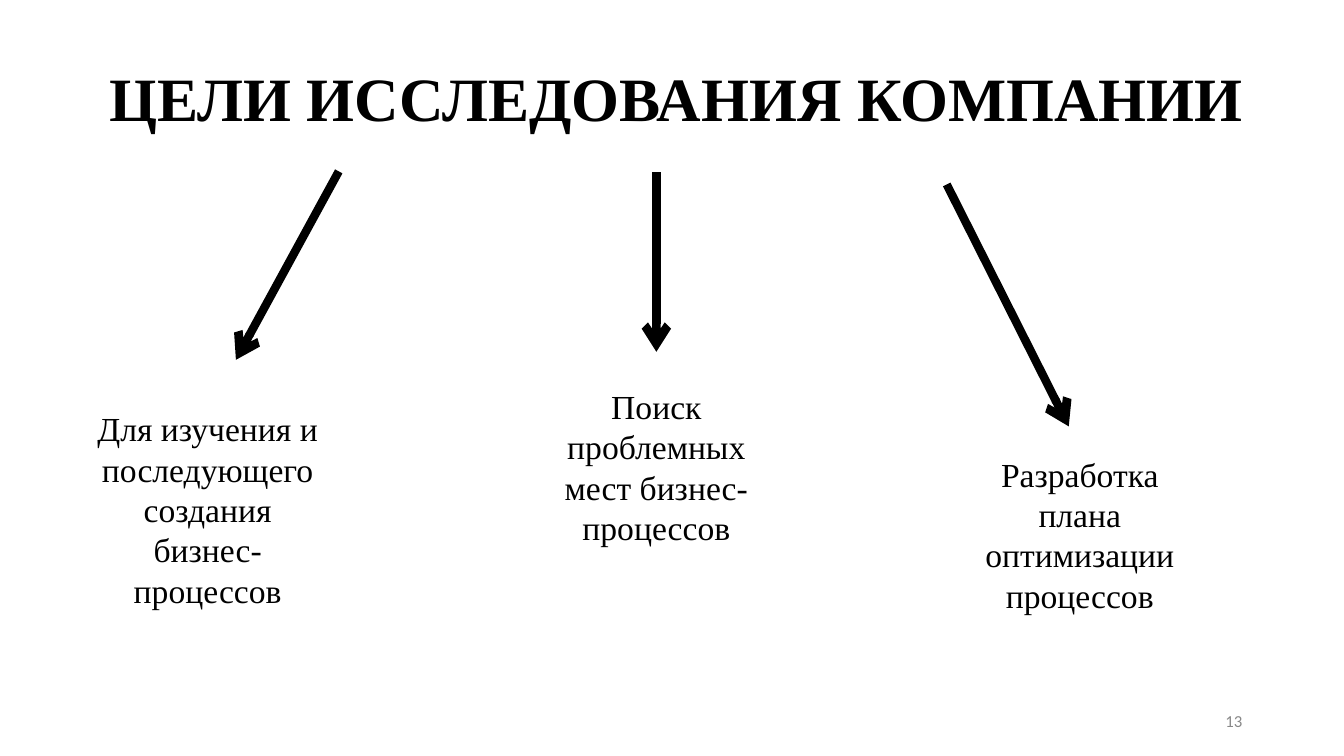
from dataclasses import dataclass

from lxml import etree
from pptx import Presentation
from pptx import util as u
from pptx.dml.color import RGBColor
from pptx.enum import shapes, text
from pptx.oxml.ns import qn


@dataclass(frozen=True)
class Theme:
    ink: RGBColor = RGBColor(0, 0, 0)
    muted: RGBColor = RGBColor(0x88, 0x88, 0x88)
    serif: str = "Times New Roman"
    sans: str = "Calibri"
    title: int = 44
    body: int = 24
    small: int = 12
    arrow: int = 6


THEME = Theme()
GOAL_WIDTH = 2.6
GOALS = [
    ("Для изучения и последующего создания бизнес-процессов",
     (0.76, 4, GOAL_WIDTH, 2.12), (3.36, 1.7), (2.34, 3.57)),
    ("Поиск проблемных мест бизнес-процессов",
     (5.21, 3.78, GOAL_WIDTH, 1.72), (6.51, 1.71), (6.51, 3.49)),
    ("Разработка плана оптимизации процессов",
     (9.41, 4.45, GOAL_WIDTH, 1.72), (9.39, 1.83), (10.6, 4.23)),
]


def inches(values):
    return [u.Inches(v) for v in values]


def write(sp, words, size, font=THEME.serif, color=THEME.ink, bold=False,
          align=text.PP_ALIGN.CENTER, anchor=text.MSO_ANCHOR.MIDDLE, spacing=1.0):
    tf = sp.text_frame
    p = tf.paragraphs[0]
    r = p.add_run()
    r.text = words
    r.font.color.rgb = color
    formats = [
        (tf, {"word_wrap": True, "auto_size": text.MSO_AUTO_SIZE.NONE,
              "vertical_anchor": anchor}),
        (p, {"alignment": align, "line_spacing": spacing}),
        (r.font, {"size": u.Pt(size), "name": font, "bold": bold}),
    ]
    for target, values in formats:
        for name, value in values.items():
            setattr(target, name, value)


def add_title(s, box, words):
    sp = s.shapes.title
    for name, value in zip(("left", "top", "width", "height"), inches(box)):
        setattr(sp, name, value)
    write(sp, words, THEME.title, bold=True, spacing=0.9)


def add_arrow(s, start, end):
    line = s.shapes.add_connector(shapes.MSO_CONNECTOR.STRAIGHT,
                                  *inches(start + end))
    line.line.color.rgb = THEME.ink
    line.line.width = u.Pt(THEME.arrow)
    etree.SubElement(line.line._get_or_add_ln(), qn("a:tailEnd"), type="arrow")
    etree.SubElement(line._element.spPr, qn("a:effectLst"))


def add_goal(s, box, words, start, end):
    add_arrow(s, start, end)
    sp = s.shapes.add_textbox(*inches(box))
    write(sp, words, THEME.body, anchor=text.MSO_ANCHOR.TOP)
    sp.text_frame.auto_size = text.MSO_AUTO_SIZE.SHAPE_TO_FIT_TEXT


def add_page_number(s, box, number):
    sp = s.shapes.add_textbox(*inches(box))
    write(sp, number, THEME.small, THEME.sans, THEME.muted,
          align=text.PP_ALIGN.RIGHT)


def main():
    prs = Presentation()
    prs.slide_width, prs.slide_height = inches((13.33, 7.5))
    s = prs.slides.add_slide(prs.slide_layouts[5])
    add_title(s, (0.29, 0.28, 12.84, 1.45), "ЦЕЛИ ИССЛЕДОВАНИЯ КОМПАНИИ")
    for words, box, start, end in GOALS:
        add_goal(s, box, words, start, end)
    add_page_number(s, (9.42, 6.95, 3, 0.4), "13")
    prs.save("out.pptx")


if __name__ == "__main__":
    main()
